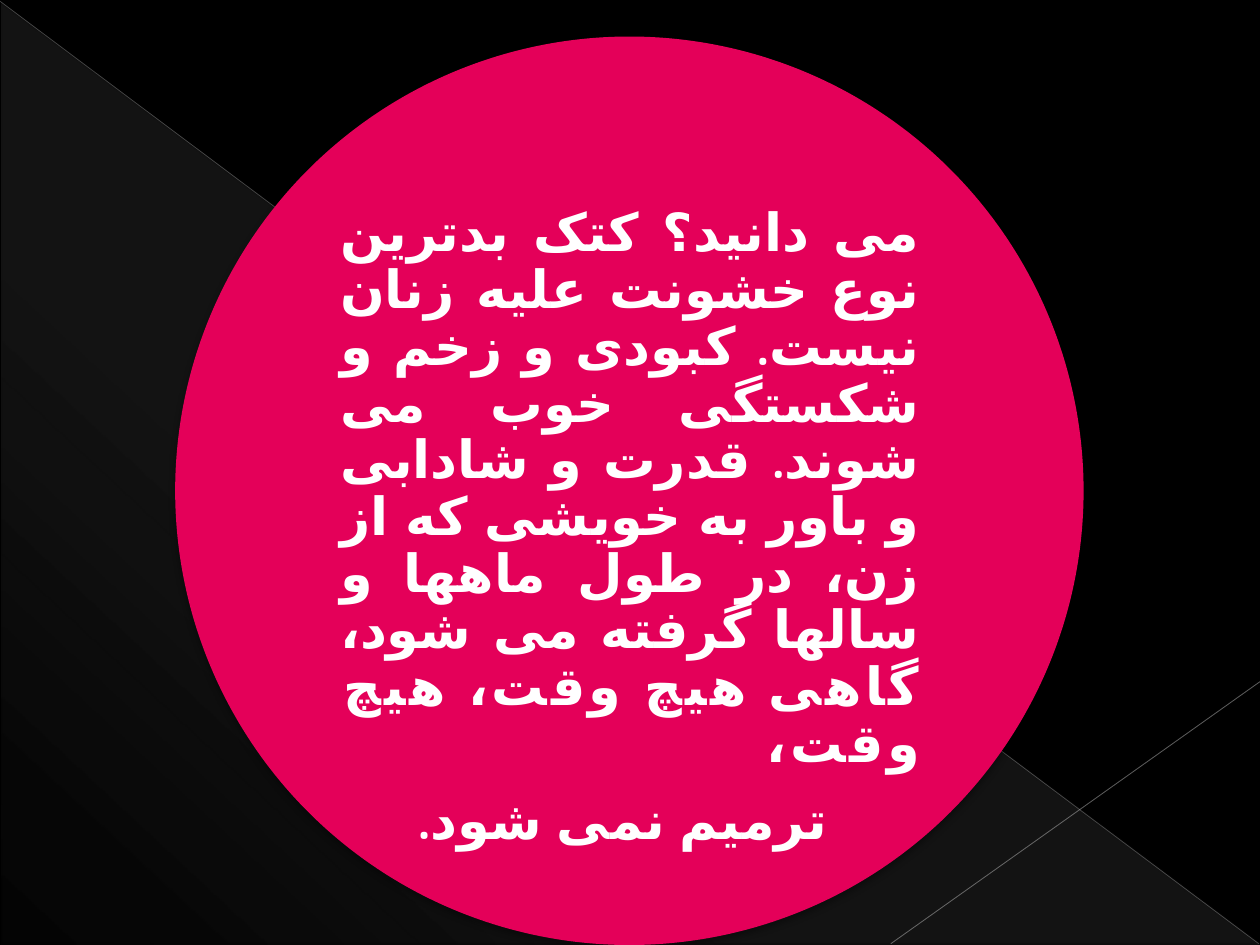
from lxml.etree import SubElement
from pptx import Presentation
from pptx.dml.color import RGBColor
from pptx.enum.lang import MSO_LANGUAGE_ID
from pptx.enum.shapes import MSO_CONNECTOR, MSO_SHAPE
from pptx.enum.text import MSO_ANCHOR, PP_ALIGN
from pptx.oxml import parse_xml
from pptx.oxml.ns import nsdecls, qn
from pptx.util import Inches, Pt

BLACK = RGBColor(0x00, 0x00, 0x00)
WHITE = RGBColor(0xFF, 0xFF, 0xFF)
PINK = RGBColor(0xE4, 0x00, 0x59)
GREY = RGBColor(0xBF, 0xBF, 0xBF)
SILVER = RGBColor(0xC6, 0xC6, 0xC6)
FONT = "Quicksand"
BODY = (
    "می دانید؟ کتک بدترین نوع خشونت علیه زنان نیست. "
    "کبودی و زخم و شکستگی خوب می شوند. "
    "قدرت و شادابی و باور به خویشی که از زن، "
    "در طول ماهها و سالها گرفته می شود، "
)
STRESS = "گاهی هیچ وقت، هیچ وقت،"
CLOSE = " ترمیم نمی شود."


def add_shape(slide, kind, *box):
    """Add a borderless preset shape without a shadow."""
    shape = slide.shapes.add_shape(kind, *map(Inches, box))
    shape.shadow.inherit = False
    shape.line.fill.background()
    return shape


def add_wedge(slide):
    """Add the faint grey triangle behind the circle."""
    wedge = add_shape(slide, MSO_SHAPE.RIGHT_TRIANGLE, 0.01, 0.02, 9.99, 7.48)
    stops = "".join(
        f'<a:gs pos="{pos}000"><a:srgbClr val="D2D2D2">'
        f'<a:alpha val="{alpha}000"/></a:srgbClr></a:gs>'
        for pos, alpha in ((0, 10), (70, 8), (100, 1))
    )
    fill = parse_xml(
        f'<a:gradFill {nsdecls("a")} rotWithShape="1"><a:gsLst>{stops}</a:gsLst>'
        f'<a:lin ang="{133 * 60000}" scaled="0"/></a:gradFill>'
    )
    wedge._element.spPr.find(qn("a:prstGeom")).addnext(fill)


def add_line(slide, start, end, color, width, alpha):
    """Add a thin see-through line."""
    line = slide.shapes.add_connector(
        MSO_CONNECTOR.STRAIGHT, *map(Inches, start + end)
    )
    line.line.color.rgb = color
    line.line.width = Pt(width)
    props = line._element.spPr
    tint = props.find(".//" + qn("a:srgbClr"))
    SubElement(tint, qn("a:alpha"), val=f"{alpha}000")
    SubElement(props, qn("a:effectLst"))


def add_circle(slide):
    """Add the pink circle with its soft shadow."""
    circle = add_shape(slide, MSO_SHAPE.OVAL, 1.39, 0.29, 7.21, 7.21)
    circle.fill.solid()
    circle.fill.fore_color.rgb = PINK
    shade = SubElement(
        circle._element.spPr.find(qn("a:effectLst")), qn("a:outerShdw"),
        blurRad=str(Pt(4)), dist=str(Pt(3)), dir=str(90 * 60000), rotWithShape="0",
    )
    tint = SubElement(shade, qn("a:srgbClr"), val=str(BLACK))
    SubElement(tint, qn("a:alpha"), val="35000")


def add_run(para, text):
    """Add a run of Persian text."""
    run = para.add_run()
    run.text = text
    run.font.language_id = MSO_LANGUAGE_ID.FARSI
    return run


def style(para, align):
    """Format a right-to-left paragraph."""
    para.alignment = align
    para.line_spacing = 0.9
    para.space_after = Pt(11.5)
    font = para.font
    font.name, font.size, font.bold = FONT, Pt(30), True
    font.color.rgb = WHITE
    props = para._p.get_or_add_pPr()
    props.set("rtl", "1")
    SubElement(props.find(qn("a:defRPr")), qn("a:cs"), typeface=FONT)


def add_quote(slide):
    """Add the quotation inside the circle."""
    box = slide.shapes.add_textbox(*map(Inches, (2.45, 1.39, 5.1, 5.64)))
    frame = box.text_frame
    frame.word_wrap = True
    frame.vertical_anchor = MSO_ANCHOR.TOP
    frame.margin_left = frame.margin_right = Inches(0.25)
    frame.margin_top = frame.margin_bottom = Inches(0.25)
    body = frame.paragraphs[0]
    add_run(body, BODY)
    stress = add_run(body, STRESS)
    stress._r.get_or_add_rPr().set("spc", "200")
    style(body, PP_ALIGN.JUSTIFY)
    close = frame.add_paragraph()
    add_run(close, CLOSE)
    style(close, PP_ALIGN.CENTER)


def main():
    """Build and save the slide."""
    deck = Presentation()
    deck.slide_width, deck.slide_height = Inches(10), Inches(7.5)
    slide = deck.slides.add_slide(deck.slide_layouts[6])
    back = slide.background.fill
    back.solid()
    back.fore_color.rgb = BLACK
    add_wedge(slide)
    add_line(slide, (0, 0.01), (9.99, 7.49), GREY, 0.39, 35)
    add_line(slide, (10, 5.41), (7.07, 7.49), SILVER, 0.47, 45)
    add_circle(slide)
    add_quote(slide)
    deck.save("out.pptx")


if __name__ == "__main__":
    main()
